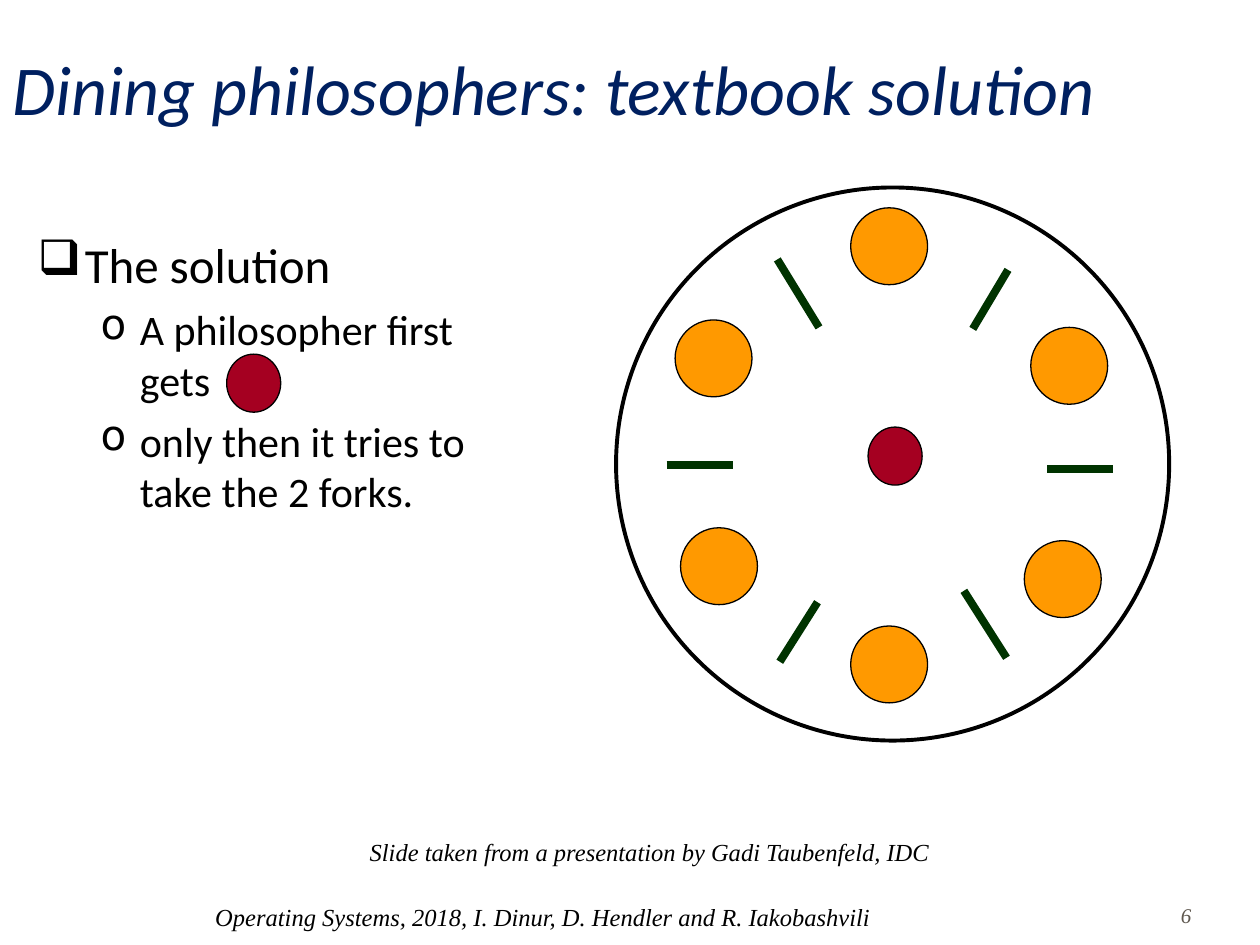
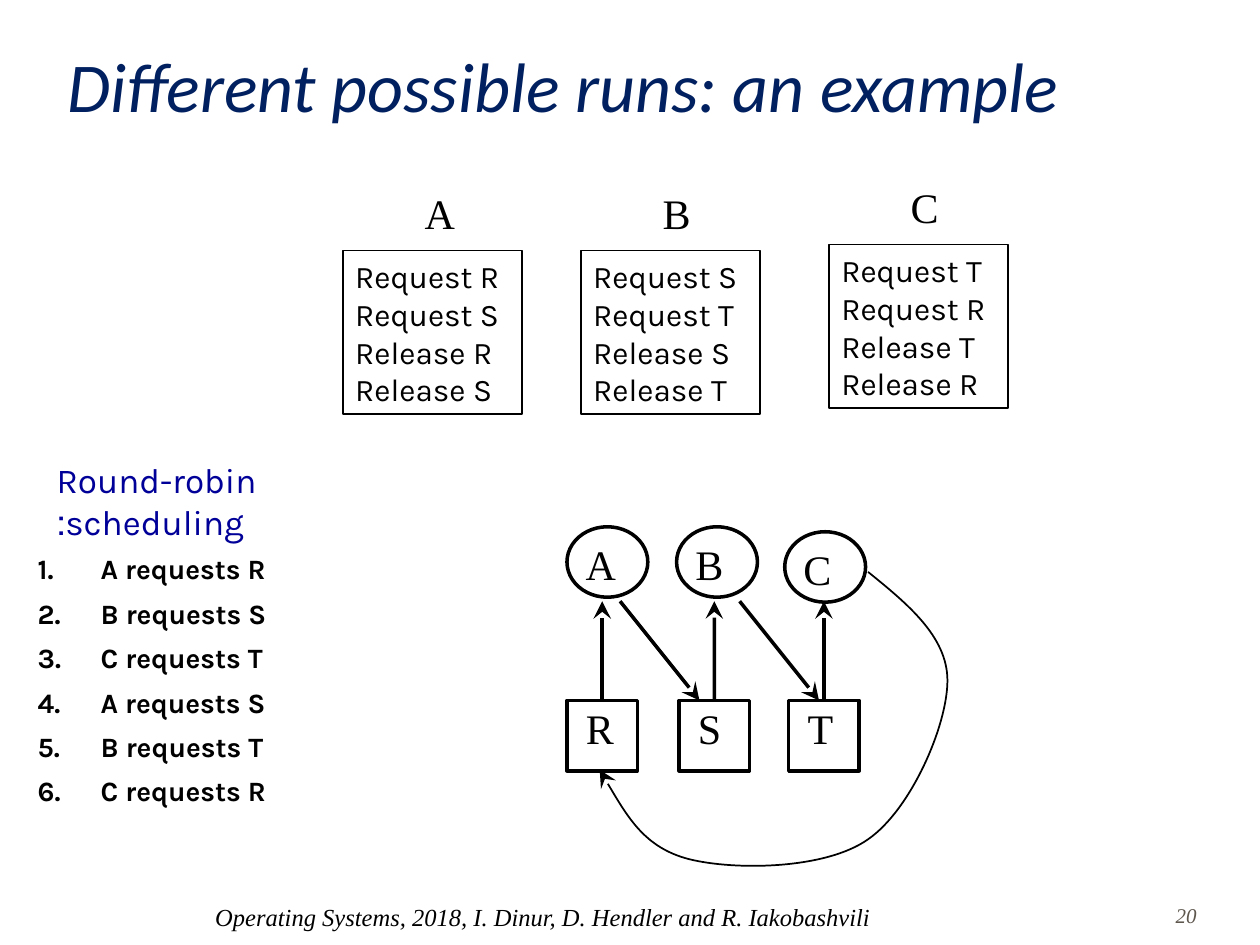
from dataclasses import dataclass

from lxml import etree
from pptx import Presentation, util as u
from pptx.dml.color import RGBColor
from pptx.enum import shapes, text
from pptx.oxml.ns import qn


@dataclass(frozen=True)
class Theme:
    """Colours, fonts and type sizes shared by the slides."""
    ink: str = "000000"
    paper: str = "FFFFFF"
    navy: str = "002060"
    blue: str = "000099"
    gray: str = "5E574E"
    plate: str = "FF9900"
    token: str = "A50021"
    fork: str = "003300"
    sans: str = "Calibri"
    serif: str = "Times New Roman"
    karla: str = "Karla"
    title: int = 40
    lead: int = 28
    body: int = 24
    head: int = 20
    code: int = 18
    step: int = 16
    foot: int = 14
    page: int = 12


T = Theme()
OVAL = shapes.MSO_SHAPE.OVAL
RECT = shapes.MSO_SHAPE.RECTANGLE
LEFT, MID = text.PP_ALIGN.LEFT, text.PP_ALIGN.CENTER
TOP, LOW = text.MSO_ANCHOR.TOP, text.MSO_ANCHOR.BOTTOM
PAD = (0.25, 0.13, 0.25, 0.13)
FOOTER = "Operating Systems, 2018, I. Dinur, D. Hendler and R. Iakobashvili"


def put(item, **vals):
    """Set each named attribute on the item."""
    for name, val in vals.items():
        setattr(item, name, val)


def cm(nums):
    """Turn numbers into centimetre lengths."""
    return [u.Cm(n) for n in nums]


def ink(para, size, face, tint=T.ink, **style):
    """Format every run of a paragraph."""
    for run in para.runs:
        put(run.font, size=u.Pt(size), name=face, **style)
        run.font.color.rgb = RGBColor.from_string(tint)


def fit(frame, pad=PAD, anchor=TOP):
    """Set the margins, wrap and anchor of a text frame."""
    left, top, right, low = cm(pad)
    put(frame, word_wrap=True, auto_size=text.MSO_AUTO_SIZE.NONE,
        vertical_anchor=anchor, margin_left=left, margin_top=top,
        margin_right=right, margin_bottom=low)


def fill(frame, words, size, face, tint=T.ink, align=LEFT, **style):
    """Write one formatted paragraph into a frame."""
    para = frame.paragraphs[0]
    put(para, text=words, alignment=align)
    ink(para, size, face, tint, **style)
    return para


def note(slide, box, words, size, face, tint=T.ink, **style):
    """Add a text box with one paragraph."""
    frame = slide.shapes.add_textbox(*cm(box)).text_frame
    fit(frame)
    return fill(frame, words, size, face, tint, **style)


def form(slide, kind, box, paint=None, width=0.0):
    """Add a preset shape, filled or hollow, with an optional outline."""
    item = slide.shapes.add_shape(kind, *cm(box))
    dress(item, paint, width)
    return item


def dress(item, paint, width):
    """Give a shape its fill and outline and no shadow."""
    item.shadow.inherit = False
    if paint:
        item.fill.solid()
        item.fill.fore_color.rgb = RGBColor.from_string(paint)
    else:
        item.fill.background()
    if width:
        stroke(item, T.ink, width)
    else:
        item.line.fill.background()


def stroke(item, tint, width):
    """Set the colour and width of a line."""
    item.line.color.rgb = RGBColor.from_string(tint)
    item.line.width = u.Pt(width)


def tip(item):
    """End a line with a large stealth arrowhead."""
    edge = item.element.spPr.find(qn("a:ln"))
    etree.SubElement(edge, qn("a:tailEnd"), type="stealth", w="lg", len="lg")


def link(slide, ends, tint, width, arrow=False, start=None):
    """Add a straight line, with an arrowhead or a joined start if asked."""
    item = slide.shapes.add_connector(shapes.MSO_CONNECTOR.STRAIGHT, *cm(ends))
    if start:
        item.begin_connect(start, 0)
    stroke(item, tint, width)
    if arrow:
        tip(item)
    etree.SubElement(item.element.spPr, qn("a:effectLst"))


def curve(slide, dots, width):
    """Add an arrow made of cubic curves through start, control and end dots."""
    dots = [cm(dot) for dot in dots]
    pen = slide.shapes.build_freeform(*dots[0])
    pen.add_line_segments(dots[1:], close=False)
    item = pen.convert_to_shape()
    trace = item.element.spPr.find(".//" + qn("a:path"))
    legs = trace.findall(qn("a:lnTo"))
    for i in range(0, len(legs), 3):
        bend = etree.SubElement(trace, qn("a:cubicBezTo"))
        for leg in legs[i:i + 3]:
            bend.append(leg[0])
            trace.remove(leg)
    dress(item, None, width)
    tip(item)


def points(slide, box, rows, pad=PAD):
    """Add bulleted rows: words, mark, indents, spacing and font."""
    frame = slide.shapes.add_textbox(*cm(box)).text_frame
    fit(frame, pad)
    for i, (words, mark, edge, hang, gap, font) in enumerate(rows):
        para = frame.add_paragraph() if i else frame.paragraphs[0]
        para.text = words
        props = para._p.get_or_add_pPr()
        props.set("marL", str(u.Cm(edge)))
        props.set("indent", str(-u.Cm(hang)))
        if mark:
            etree.SubElement(props, qn("a:buChar"), char=mark)
        else:
            etree.SubElement(props, qn("a:buAutoNum"), type="arabicPeriod")
        if i:
            para.space_before = u.Pt(gap)
        ink(para, **font)
    return frame


def page(deck, name, box, number, anchor):
    """Add a slide with its title, footer and number."""
    slide = deck.slides.add_slide(deck.slide_layouts[5])
    left, top, width, height = cm(box)
    title = slide.shapes.title
    put(title, left=left, top=top, width=width, height=height)
    fit(title.text_frame, anchor=anchor)
    fill(title.text_frame, name, T.title, T.sans, T.navy, italic=True)
    note(slide, (4.09, 18.06, 16.59, 0.99), FOOTER, T.foot, T.serif,
         italic=True)
    note(slide, (23.29, 18.06, 1.24, 0.81), number, T.page, T.serif, T.gray,
         align=MID, italic=True)
    return slide


def token(slide, x, y):
    """Add the red token."""
    form(slide, OVAL, (x, y, 1.09, 1.17), T.token, 0.75)


def dining(deck):
    """Build the slide on the dining philosophers."""
    slide = page(deck, "Dining philosophers: textbook solution",
                 (0, 0.64, 25.4, 2.11), "6", LOW)
    lead = dict(size=T.lead, face=T.sans)
    body = dict(size=T.body, face=T.sans)
    points(slide, (0.51, 4.6, 10.49, 6.12), [
        ("The solution", "❑", 0.95, 0.95, 0, lead),
        ("A philosopher first gets", "o", 2.06, 0.79, 6, body),
        ("only then it tries to take the 2 forks.", "o", 2.06, 0.79, 6, body)],
        (0.25, 0.13, 0.9, 0.13))
    token(slide, 4.57, 7.14)
    form(slide, OVAL, (12.42, 3.78, 11.15, 11.15), width=2.25)
    for x, y in ((17.15, 12.62), (17.15, 4.19), (20.65, 10.9), (20.78, 6.6),
                 (13.61, 6.45), (13.72, 10.64)):
        form(slide, OVAL, (x, y, 1.55, 1.55), T.plate, 0.75)
    for ends in ((15.67, 5.23, 16.51, 6.6), (19.43, 11.91, 20.29, 13.26),
                 (21.11, 9.45, 22.43, 9.45), (20.32, 5.44, 19.61, 6.63),
                 (13.44, 9.37, 14.78, 9.37), (16.48, 12.14, 15.72, 13.34)):
        link(slide, ends, T.fork, 4.5)
    token(slide, 17.5, 8.61)
    credit = form(slide, RECT, (1.3, 16.74, 23.6, 0.86), T.paper).text_frame
    fit(credit)
    fill(credit, "Slide taken from a presentation by Gadi Taubenfeld, IDC",
         T.foot, T.serif, align=MID, italic=True)


def node(slide, kind, box, name, pad):
    """Add a lettered node of the resource graph."""
    item = form(slide, kind, box, T.paper, 2)
    fit(item.text_frame, pad)
    fill(item.text_frame, name, T.body, T.serif)
    return item


def job(slide, x, y, name, first, second):
    """Add a process with its list of requests and releases."""
    note(slide, (x + 1.4, y - 1.4, 1.12, 1.27), name, T.body, T.serif)
    frame = form(slide, RECT, (x, y, 3.61, 3.3), width=1).text_frame
    fit(frame)
    lines = (f"{verb} {item}" for verb in ("Request", "Release")
             for item in (first, second))
    fill(frame, "\v".join(lines), T.code, T.karla)


def runs(deck):
    """Build the slide on round-robin runs."""
    slide = page(deck, "Different possible runs: an example",
                 (1.12, 0.64, 21.59, 2.11), "20", text.MSO_ANCHOR.MIDDLE)
    for spot in ((6.91, 5.05, "A", "R", "S"), (11.71, 5.05, "B", "S", "T"),
                 (16.71, 4.93, "C", "T", "R")):
        job(slide, *spot)
    head = note(slide, (0.89, 9.12, 5.59, 1.96), "Round-robin scheduling:",
                T.head, T.karla, T.blue)
    head._p.get_or_add_pPr().set("rtl", "1")
    font = dict(size=T.step, face=T.karla, bold=True)
    steps = points(slide, (0.51, 11.13, 5.61, 5.28), [
        (f"{who} requests {what}", None, 1.27, 1.27, 10, font)
        for who, what in zip("ABCABC", "RSTSTR")])
    for para in steps.paragraphs:
        para.line_spacing = 0.8
    for name, x, y in (("A", 11.43, 10.62), ("B", 13.64, 10.62),
                       ("C", 15.82, 10.72)):
        node(slide, OVAL, (x, y, 1.63, 1.42), name, (0.14, 0.02, 0, 0))
    for name, x in (("R", 11.43), ("S", 13.69), ("T", 15.9)):
        box = node(slide, RECT, (x, 14.12, 1.42, 1.42), name,
                   (0.38, 0.05, 0, 0))
        link(slide, (x + 0.71, 14.12, x + 0.71, 12.12), T.ink, 2, True, box)
    for x in (12.5, 14.91):
        link(slide, (x, 12.12, x + 1.6, 14.12), T.ink, 2, True)
    curve(slide, ((17.5, 11.53), (18.29, 12.17), (19.1, 12.83), (19.1, 13.72),
                  (19.1, 14.63), (18.36, 16.33), (17.5, 16.92),
                  (16.64, 17.53), (14.81, 17.55), (13.89, 17.32),
                  (13, 17.09), (12.55, 16.31), (12.09, 15.52)), 1)


def main():
    """Build and save the deck."""
    deck = Presentation()
    put(deck, slide_width=u.Cm(25.4), slide_height=u.Cm(19.05))
    dining(deck)
    runs(deck)
    deck.save("out.pptx")


if __name__ == "__main__":
    main()
